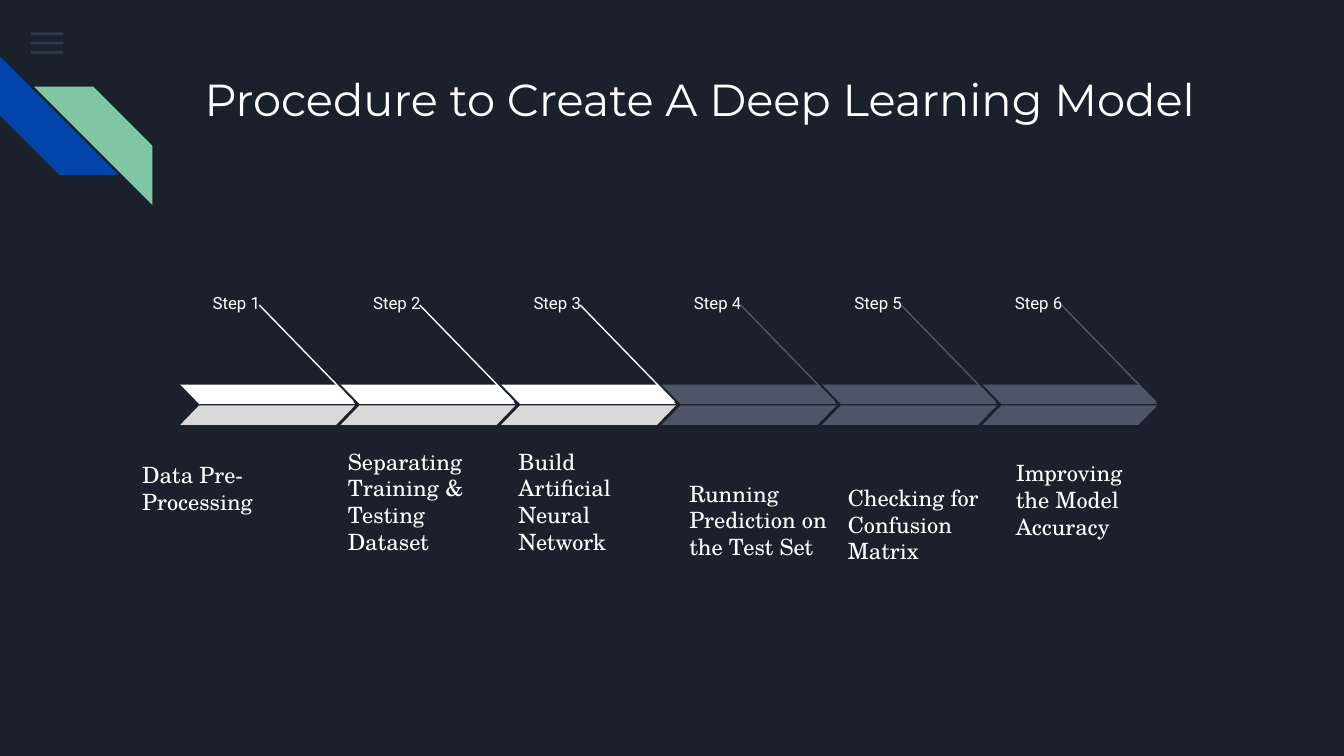
from lxml.etree import SubElement
from pptx import Presentation
from pptx.dml.color import RGBColor
from pptx.enum.shapes import MSO_CONNECTOR, MSO_SHAPE
from pptx.enum.text import MSO_ANCHOR, MSO_AUTO_SIZE, PP_ALIGN
from pptx.oxml.ns import qn
from pptx.util import Pt

TITLE = "Procedure to Create A Deep Learning Model"
DONE = ("white", "silver")
NEXT = ("slate", "slate")
TOP, BOTTOM = MSO_ANCHOR.TOP, MSO_ANCHOR.BOTTOM
STEPS = [
    ("Data Pre-Processing", (69.1, 239.8, 108, 52.6), TOP, DONE),
    ("Separating Training & Testing Dataset", (179.3, 241.2, 89.3, 63.4), BOTTOM, DONE),
    ("Build Artificial Neural Network", (270.7, 241.2, 89.3, 63.4), BOTTOM, DONE),
    ("Running Prediction on the Test Set", (362.2, 239, 89.3, 68.4), BOTTOM, NEXT),
    ("Checking for Confusion Matrix", (447.1, 241.2, 89.3, 68.4), BOTTOM, NEXT),
    ("Improving the Model Accuracy", (537.1, 239, 92.2, 52.6), TOP, NEXT),
]

THEME = {
    "colors": {
        "dark": "1B212C", "menu": "55688B", "blue": "0145AC", "green": "82C7A5",
        "white": "FFFFFF", "silver": "D9D9D9", "slate": "4E5567",
    },
    "title": ("Montserrat", 24),
    "label": ("Roboto", 9),
    "body": ("TeX Gyre Schola", 12),
}

LEFT, PITCH = 96.6, 85.96
BAR_TOPS = (206, 217.2)
BAR_W, BAR_H = 93.6, 10.4
INSET = 7.2


def color(name):
    return RGBColor.from_string(THEME["colors"][name])


def add_shape(slide, kind, box, fill, adj=None, flip=False, alpha=None):
    sp = slide.shapes.add_shape(kind, *map(Pt, box))
    sp.shadow.inherit = False
    sp.fill.solid()
    sp.fill.fore_color.rgb = color(fill)
    sp.line.fill.background()
    if adj is not None:
        sp.adjustments[0] = adj
    if flip:
        sp._element.spPr.find(qn("a:xfrm")).set("flipH", "1")
    if alpha is not None:
        clr = sp._element.spPr.find(qn("a:solidFill"))[0]
        SubElement(clr, qn("a:alpha")).set("val", str(alpha * 1000))
    return sp


def set_text(sp, text, style, anchor=TOP):
    tf = sp.text_frame
    tf.word_wrap = True
    tf.auto_size = MSO_AUTO_SIZE.NONE
    tf.vertical_anchor = anchor
    tf.margin_left = tf.margin_right = tf.margin_top = tf.margin_bottom = Pt(INSET)
    tf.text = text
    p = tf.paragraphs[0]
    p.alignment = PP_ALIGN.LEFT
    font = p.runs[0].font
    font.name, size = THEME[style]
    font.size = Pt(size)
    font.color.rgb = color("white")


def add_text(slide, box, text, style, anchor=TOP):
    set_text(slide.shapes.add_textbox(*map(Pt, box)), text, style, anchor)


def add_line(slide, x1, y1, x2, y2, stroke):
    cn = slide.shapes.add_connector(MSO_CONNECTOR.STRAIGHT, *map(Pt, (x1, y1, x2, y2)))
    cn.line.color.rgb = color(stroke)
    cn.line.width = Pt(0.75)
    SubElement(cn._element.spPr, qn("a:effectLst"))


def add_decoration(slide):
    for i in range(3):
        add_shape(slide, MSO_SHAPE.RECTANGLE, (16.6, 17.4 + 4.9 * i, 17.4, 1.5), "menu", alpha=36)
    stripe = MSO_SHAPE.DIAGONAL_STRIPE
    add_shape(slide, stripe, (0, 30.2, 63.5, 63.5), "blue", adj=0.5).rotation = 270
    add_shape(slide, stripe, (18.2, 46.4, 63.5, 63.5), "green", adj=0.5, flip=True)


def add_step(slide, i, text, box, anchor, fills):
    x = LEFT + i * PITCH
    add_text(slide, (x + 10.2, 149.8, 42.5, 16.6), f"Step {i + 1}", "label")
    add_line(slide, x + 42.3, 163.4, x + 92.7, 215.3, fills[0])
    for top, fill, flip in zip(BAR_TOPS, fills, (True, False)):
        add_shape(slide, MSO_SHAPE.PARALLELOGRAM, (x, top, BAR_W, BAR_H), fill, 0.97, flip)
    add_text(slide, box, text, "body", anchor)


def main():
    prs = Presentation()
    prs.slide_width, prs.slide_height = Pt(720), Pt(405)
    s = prs.slides.add_slide(prs.slide_layouts[5])
    s.background.fill.solid()
    s.background.fill.fore_color.rgb = color("dark")

    add_decoration(s)
    title = s.shapes.title
    title.left, title.top, title.width, title.height = map(Pt, (102.4, 31, 554.4, 72))
    set_text(title, TITLE, "title")
    for i, step in enumerate(STEPS):
        add_step(s, i, *step)
    prs.save("out.pptx")


if __name__ == "__main__":
    main()
